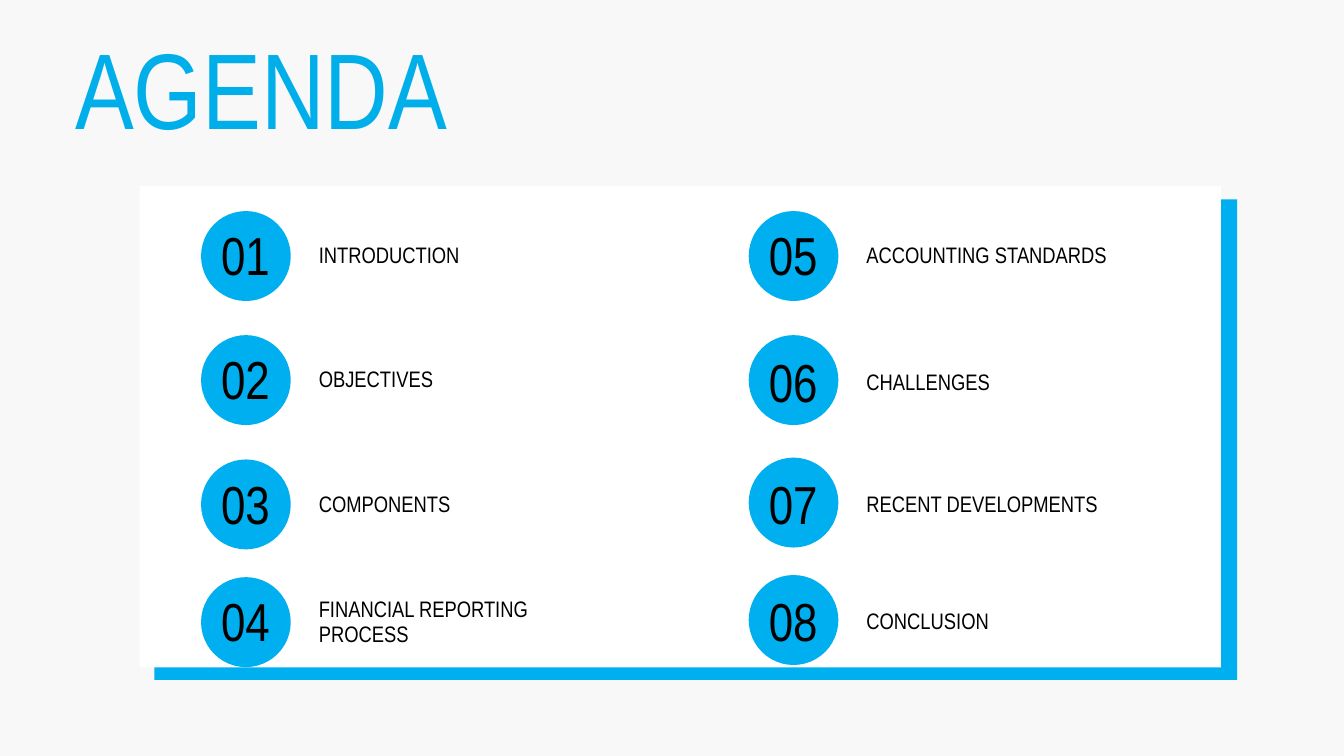
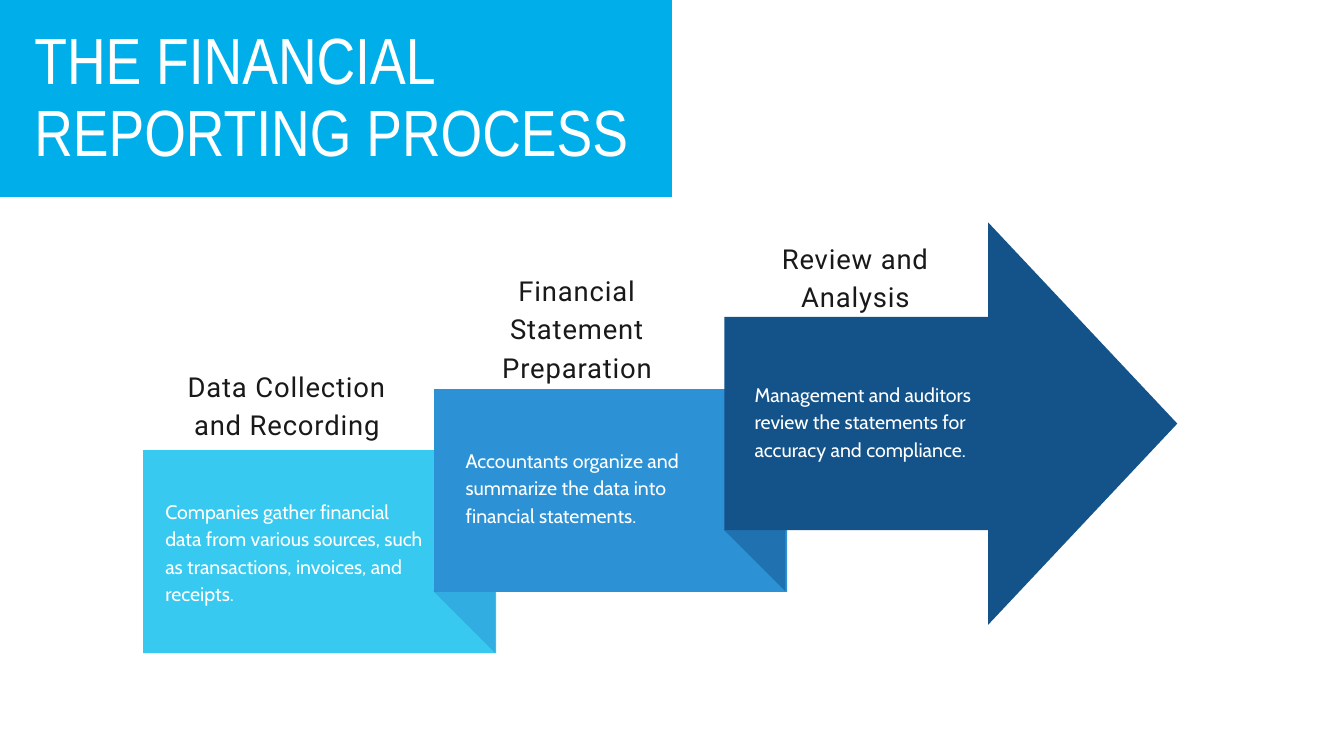
"""Build an agenda slide and a financial reporting process slide."""
from lxml import etree
from pptx import Presentation
from pptx.dml.color import RGBColor
from pptx.enum.shapes import MSO_SHAPE
from pptx.enum.text import MSO_AUTO_SIZE, PP_ALIGN
from pptx.oxml.ns import qn
from pptx.util import Cm, Pt

RECT, OVAL = MSO_SHAPE.RECTANGLE, MSO_SHAPE.OVAL
ARROW, TRIANGLE = MSO_SHAPE.RIGHT_ARROW, MSO_SHAPE.RIGHT_TRIANGLE
LEFT, CENTER = PP_ALIGN.LEFT, PP_ALIGN.CENTER
FIT = MSO_AUTO_SIZE.SHAPE_TO_FIT_TEXT

BLACK = RGBColor(0x00, 0x00, 0x00)
INK = RGBColor(0x19, 0x19, 0x19)
WHITE = RGBColor(0xFF, 0xFF, 0xFF)
PALE = RGBColor(0xF8, 0xF8, 0xF8)
BRIGHT = RGBColor(0x00, 0xAF, 0xEF)
TITLE_BLUE = RGBColor(0x00, 0xAF, 0xE9)
CYAN = RGBColor(0x37, 0xC9, 0xEF)
MID_BLUE = RGBColor(0x2C, 0x92, 0xD5)
NAVY = RGBColor(0x13, 0x53, 0x8A)

NARROW = "Arial Narrow"
STYLES = {
    "agenda_title": {"font": {"name": NARROW, "size": Pt(115.2)}, "color": TITLE_BLUE,
                     "para": {"line_spacing": Pt(111.7), "alignment": LEFT}},
    "band_title": {"font": {"name": NARROW, "size": Pt(70)}, "color": WHITE,
                   "para": {"line_spacing": Pt(77), "alignment": LEFT}},
    "number": {"font": {"name": NARROW, "size": Pt(57.3)}, "color": BLACK,
               "para": {"line_spacing": Pt(63), "alignment": LEFT}},
    "label": {"font": {"name": NARROW, "size": Pt(24)}, "color": BLACK,
              "para": {"line_spacing": Pt(26.4), "alignment": LEFT}},
    "heading": {"font": {"name": "Roboto", "size": Pt(29.4)}, "color": INK, "spacing": 90,
                "para": {"line_spacing": Pt(41.1), "alignment": CENTER}},
    "body": {"font": {"name": "Cabin", "size": Pt(21)}, "color": WHITE,
             "para": {"line_spacing": Pt(29.4), "alignment": LEFT}},
}

AGENDA_COLUMNS = [
    (7.6, [
        ("INTRODUCTION", 7.98, 8.6, 1),
        ("OBJECTIVES", 12.67, 13.29, 1),
        ("COMPONENTS", 17.37, 18, 1),
        ("FINANCIAL REPORTING PROCESS", 21.82, 22.43, 2),
    ]),
    (28.3, [
        ("ACCOUNTING STANDARDS", 7.98, 8.59, 1),
        ("CHALLENGES", 12.67, 13.39, 1),
        ("RECENT DEVELOPMENTS", 17.3, 18, 1),
        ("CONCLUSION", 21.74, 22.43, 1),
    ]),
]

STEPS = [
    {"heading": "Data Collection and Recording",
     "body": "Companies gather financial\ndata from various sources, such as transactions, "
             "invoices, and receipts.",
     "shape": RECT, "color": CYAN, "box": (5.41, 17.02, 13.34, 7.67),
     "heading_box": (6.58, 13.77, 8.53, 2.84), "body_box": (6.25, 18.75, 10.03, 4.09)},
    {"heading": "Financial Statement Preparation",
     "body": "Accountants organize and summarize the data into financial statements.",
     "shape": RECT, "color": MID_BLUE, "box": (16.41, 14.71, 13.34, 7.67), "fold_top": 22.35,
     "heading_box": (17.55, 10.16, 8.53, 4.27), "body_box": (17.6, 16.81, 9.75, 3.05)},
    {"heading": "Review and Analysis",
     "body": "Management and auditors review the statements for accuracy and compliance.",
     "shape": ARROW, "color": NAVY, "box": (27.38, 8.41, 17.12, 15.21), "fold_top": 20.02,
     "heading_box": (28.07, 8.94, 8.53, 2.84), "body_box": (28.52, 14.33, 9.75, 3.05)},
]
FOLD = 2.34


def add_slide(prs, color):
    s = prs.slides.add_slide(prs.slide_layouts[6])
    s.background.fill.solid()
    s.background.fill.fore_color.rgb = color
    return s


def add_block(s, kind, box, color, alpha=None):
    sp = s.shapes.add_shape(kind, *map(Cm, box))
    sp.shadow.inherit = False
    sp.fill.solid()
    sp.fill.fore_color.rgb = color
    sp.line.fill.background()
    if alpha:
        clr = sp.fill._xPr.find(".//" + qn("a:srgbClr"))
        etree.SubElement(clr, qn("a:alpha")).set("val", str(alpha * 1000))
    return sp


def add_text(s, text, box, style_name):
    style = STYLES[style_name]
    tf = s.shapes.add_textbox(*map(Cm, box)).text_frame
    frame = {"margin_left": 0, "margin_top": 0, "margin_right": 0, "margin_bottom": 0,
             "word_wrap": True, "auto_size": FIT}
    for key, value in frame.items():
        setattr(tf, key, value)
    for i, line in enumerate(text.split("\n")):
        p = tf.add_paragraph() if i else tf.paragraphs[0]
        for key, value in style["para"].items():
            setattr(p, key, value)
        r = p.add_run()
        r.text = line
        for key, value in style["font"].items():
            setattr(r.font, key, value)
        r.font.color.rgb = style["color"]
        if "spacing" in style:
            r._r.get_or_add_rPr().set("spc", str(style["spacing"]))


def build_agenda(prs):
    s = add_slide(prs, PALE)
    add_block(s, RECT, (5.84, 7.54, 40.92, 18.16), BRIGHT)
    add_block(s, RECT, (5.28, 7.04, 40.87, 18.19), WHITE)
    number = 0
    for x, items in AGENDA_COLUMNS:
        for label, circle_top, number_top, lines in items:
            number += 1
            height = 0.05 + 0.92 * lines
            label_top = number_top + 1.1 - height / 2
            add_block(s, OVAL, (x, circle_top, 3.39, 3.4), BRIGHT)
            add_text(s, f"{number:02}", (x + 0.76, number_top, 3.25, 2.29), "number")
            add_text(s, label, (x + 4.45, label_top, 9.86, height), "label")
    add_text(s, "AGENDA", (2.84, 1.78, 19.53, 4.17), "agenda_title")


def build_process(prs):
    s = add_slide(prs, WHITE)
    add_block(s, RECT, (-3.1, -2.29, 28.5, 9.73), TITLE_BLUE)
    add_text(s, "THE FINANCIAL REPORTING PROCESS", (1.3, 0.97, 22.63, 5.46), "band_title")
    for step in STEPS:
        sp = add_block(s, step["shape"], step["box"], step["color"])
        if step["shape"] == ARROW:
            sp.adjustments[0], sp.adjustments[1] = 0.53, 0.47
        if "fold_top" in step:
            fold_box = (step["box"][0] - 0.03, step["fold_top"], FOLD, FOLD)
            add_block(s, TRIANGLE, fold_box, step["color"], 50).rotation = 180
    for part in ("heading", "body"):
        for step in STEPS:
            add_text(s, step[part], step[part + "_box"], part)


def main():
    prs = Presentation()
    prs.slide_width, prs.slide_height = Cm(50.8), Cm(28.58)
    build_agenda(prs)
    build_process(prs)
    prs.save("out.pptx")


if __name__ == "__main__":
    main()
